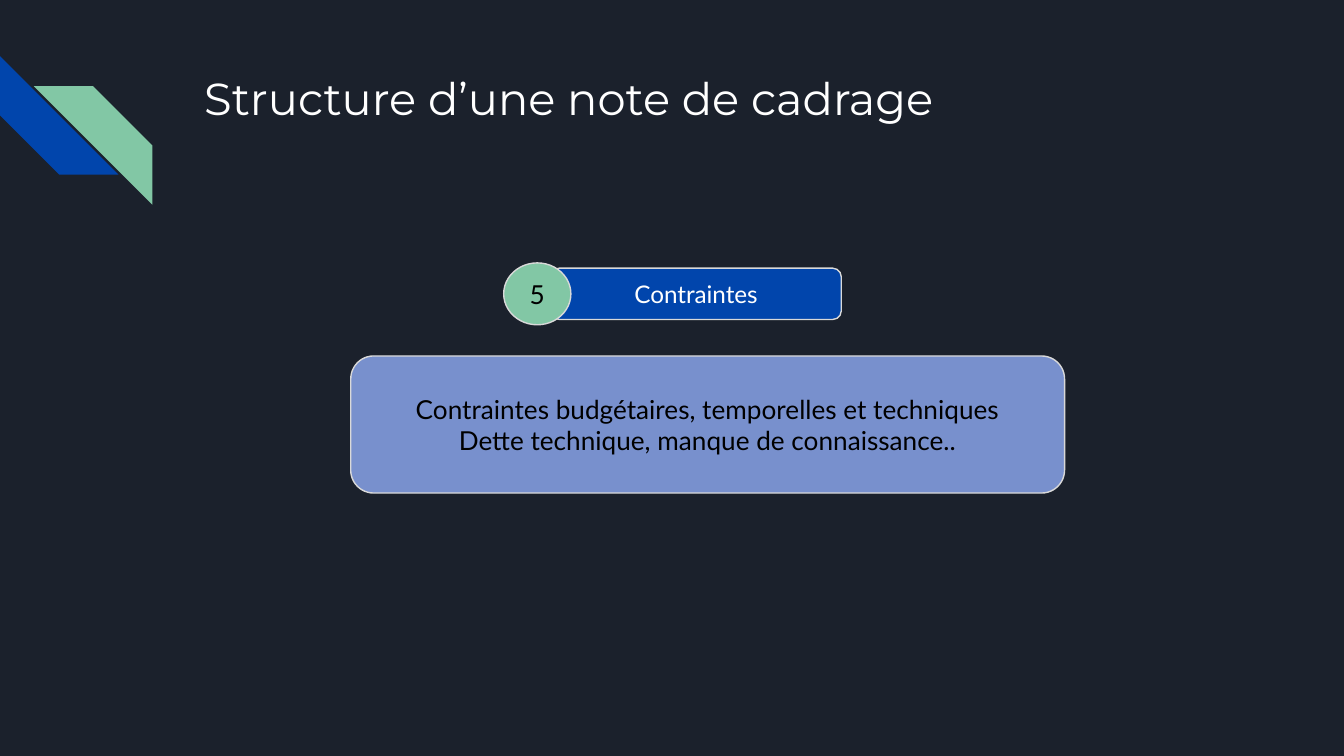
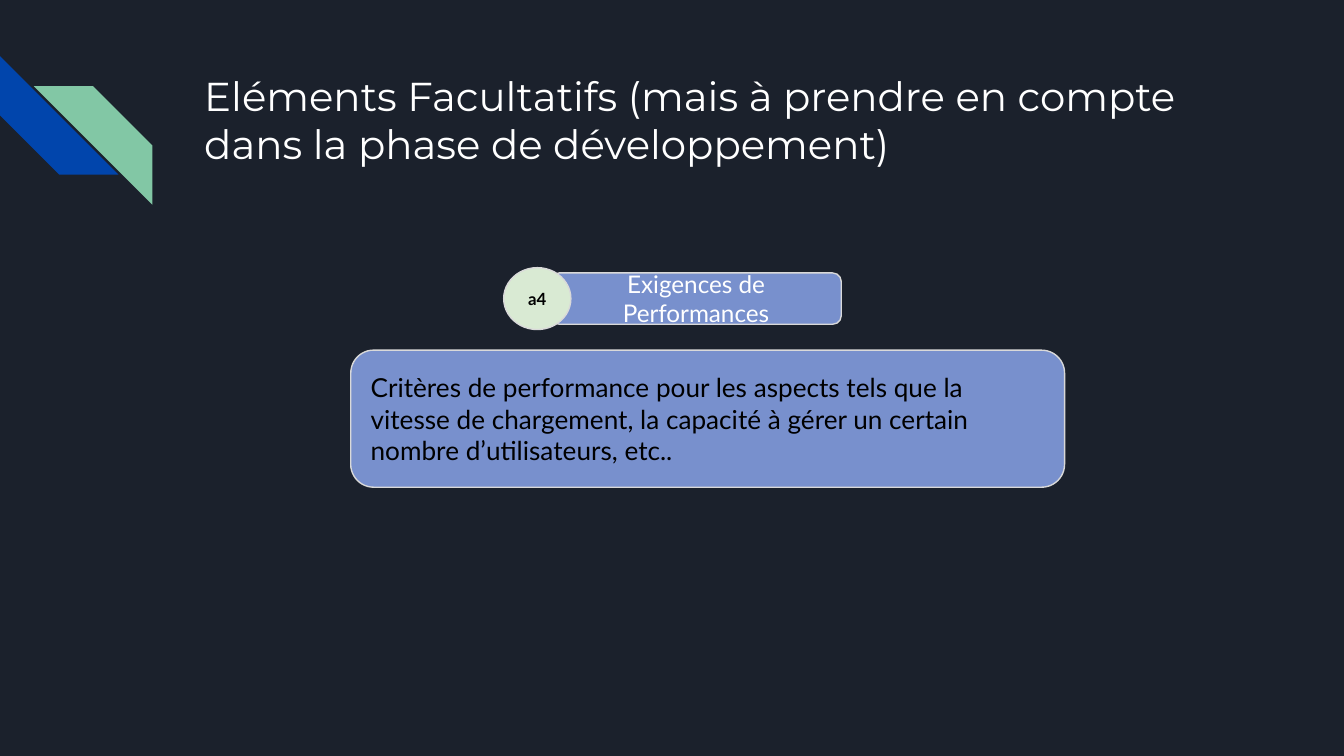
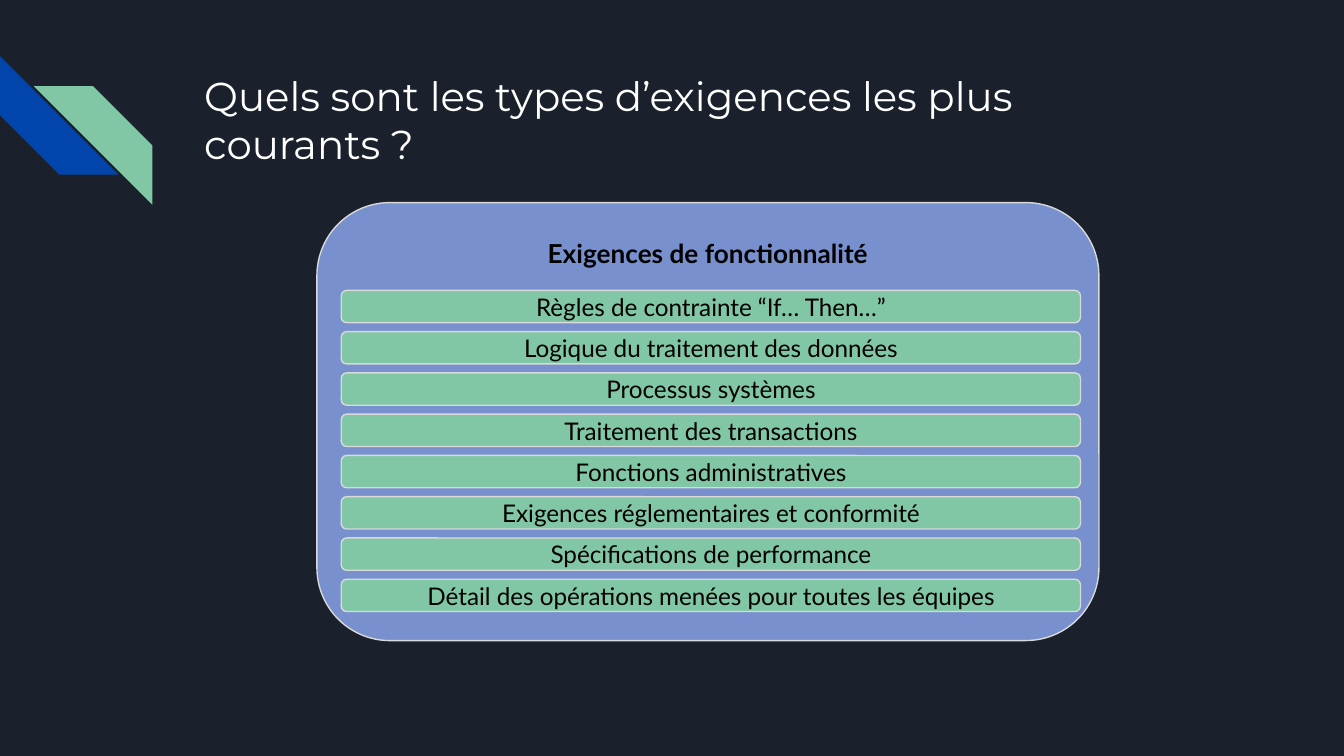
from dataclasses import dataclass

from pptx import Presentation
from pptx.dml.color import RGBColor
from pptx.enum.shapes import MSO_SHAPE
from pptx.enum.text import MSO_ANCHOR, MSO_AUTO_SIZE, PP_ALIGN
from pptx.shapes.autoshape import Shape
from pptx.slide import Slide, SlideLayout
from pptx.text.text import TextFrame
from pptx.util import Cm, Pt

HUES = {
    "night": "1B212C",
    "blue": "0145AC",
    "green": "82C7A5",
    "pale": "D9EAD3",
    "lilac": "7890CD",
    "edge": "D9D9D9",
    "white": "FFFFFF",
    "black": "000000",
}


@dataclass
class Type:
    size: float
    hue: str = "black"
    bold: bool = False
    face: str = "Lato"
    align: PP_ALIGN = PP_ALIGN.CENTER
    anchor: MSO_ANCHOR = MSO_ANCHOR.MIDDLE


@dataclass
class Box:
    left: float
    top: float
    width: float
    height: float
    fill: str
    kind: MSO_SHAPE = MSO_SHAPE.ROUNDED_RECTANGLE


@dataclass
class Topic:
    title: str
    size: float
    top: float
    label: str
    fill: str
    mark: str
    badge: str
    font: Type
    note: str
    drop: float
    align: PP_ALIGN


TOPICS = [
    Topic(
        "Structure d’une note de cadrage", 24, 5.07,
        "Contraintes", "blue", "5", "green", Type(14),
        "Contraintes budgétaires, temporelles et techniques\n"
        "Dette technique, manque de connaissance..",
        6.73, PP_ALIGN.CENTER,
    ),
    Topic(
        "Eléments Facultatifs (mais à prendre en compte dans la phase de développement)",
        21.6, 5.16,
        "Exigences de Performances", "lilac", "a4", "pale", Type(9, bold=True),
        "Critères de performance pour les aspects tels que la vitesse de chargement, "
        "la capacité à gérer un certain nombre d’utilisateurs, etc..",
        6.62, PP_ALIGN.LEFT,
    ),
]

NEEDS = [
    "Règles de contrainte “If… Then…”",
    "Logique du traitement des données",
    "Processus systèmes",
    "Traitement des transactions",
    "Fonctions administratives",
    "Exigences réglementaires et conformité",
    "Spécifications de performance",
    "Détail des opérations menées pour toutes les équipes",
]


def tint(name: str) -> RGBColor:
    return RGBColor.from_string(HUES[name])


def write(frame: TextFrame, text: str, style: Type) -> None:
    frame.text = text
    frame.word_wrap = True
    frame.auto_size = MSO_AUTO_SIZE.NONE
    frame.vertical_anchor = style.anchor
    frame.margin_left = frame.margin_right = Cm(0.25)
    frame.margin_top = frame.margin_bottom = Cm(0.25)
    for line in frame.paragraphs:
        line.alignment = style.align
        line.font.name = style.face
        line.font.size = Pt(style.size)
        line.font.bold = style.bold
        line.font.color.rgb = tint(style.hue)


def draw(slide: Slide, box: Box) -> Shape:
    shape = slide.shapes.add_shape(
        box.kind, Cm(box.left), Cm(box.top), Cm(box.width), Cm(box.height)
    )
    shape.shadow.inherit = False
    shape.fill.solid()
    shape.fill.fore_color.rgb = tint(box.fill)
    return shape


def card(slide: Slide, box: Box, text: str, style: Type) -> None:
    shape = draw(slide, box)
    shape.line.color.rgb = tint("edge")
    shape.line.width = Pt(0.75)
    write(shape.text_frame, text, style)


def start(deck: Presentation, layout: SlideLayout, title: str, size: float) -> Slide:
    slide = deck.slides.add_slide(layout)
    style = Type(size, "white", face="Montserrat", align=PP_ALIGN.LEFT, anchor=MSO_ANCHOR.TOP)
    write(slide.shapes.title.text_frame, title, style)
    return slide


def frame_up(layout: SlideLayout) -> None:
    layout.background.fill.solid()
    layout.background.fill.fore_color.rgb = tint("night")
    for holder in list(layout.placeholders):
        if holder.placeholder_format.idx:
            holder.element.getparent().remove(holder.element)
        else:
            holder.left, holder.top = Cm(3.61), Cm(1.09)
            holder.width, holder.height = Cm(19.56), Cm(2.54)


def add_bands(slide: Slide, layout: SlideLayout) -> None:
    blue = draw(slide, Box(0, 1.06, 2.24, 2.24, "blue", MSO_SHAPE.DIAGONAL_STRIPE))
    blue.rotation = 270
    green = draw(slide, Box(0.64, 1.63, 2.24, 2.24, "green", MSO_SHAPE.DIAGONAL_STRIPE))
    green.element.spPr.xfrm.set("flipH", "1")
    for band in (blue, green):
        band.line.fill.background()
        layout.shapes.element.append(band.element)


def add_topic(slide: Slide, topic: Topic) -> None:
    pill = Box(10.41, topic.top, 5.49, 0.97, topic.fill)
    high = 1.17
    disc = Box(
        9.52, pill.top + (pill.height - high) / 2, 1.27, high, topic.badge, MSO_SHAPE.OVAL
    )
    card(slide, pill, topic.label, Type(13, "white"))
    card(slide, disc, topic.mark, topic.font)
    card(
        slide, Box(6.63, topic.drop, 13.49, 2.59, "lilac"), topic.note,
        Type(14, align=topic.align),
    )


def add_needs(slide: Slide) -> None:
    card(
        slide, Box(5.99, 3.83, 14.78, 8.28, "lilac"), "Exigences de fonctionnalité",
        Type(14, bold=True, anchor=MSO_ANCHOR.TOP),
    )
    for row, need in enumerate(NEEDS):
        card(slide, Box(6.45, 5.49 + row * 0.78, 13.97, 0.61, "green"), need, Type(13))


def main() -> None:
    deck = Presentation()
    deck.slide_width, deck.slide_height = Cm(25.4), Cm(14.29)
    layout = deck.slide_layouts.get_by_name("Title Only")
    frame_up(layout)
    for topic in TOPICS:
        slide = start(deck, layout, topic.title, topic.size)
        if topic is TOPICS[0]:
            add_bands(slide, layout)
        add_topic(slide, topic)
    add_needs(start(deck, layout, "Quels sont les types d’exigences les plus courants ?", 21.6))
    deck.save("out.pptx")


if __name__ == "__main__":
    main()
